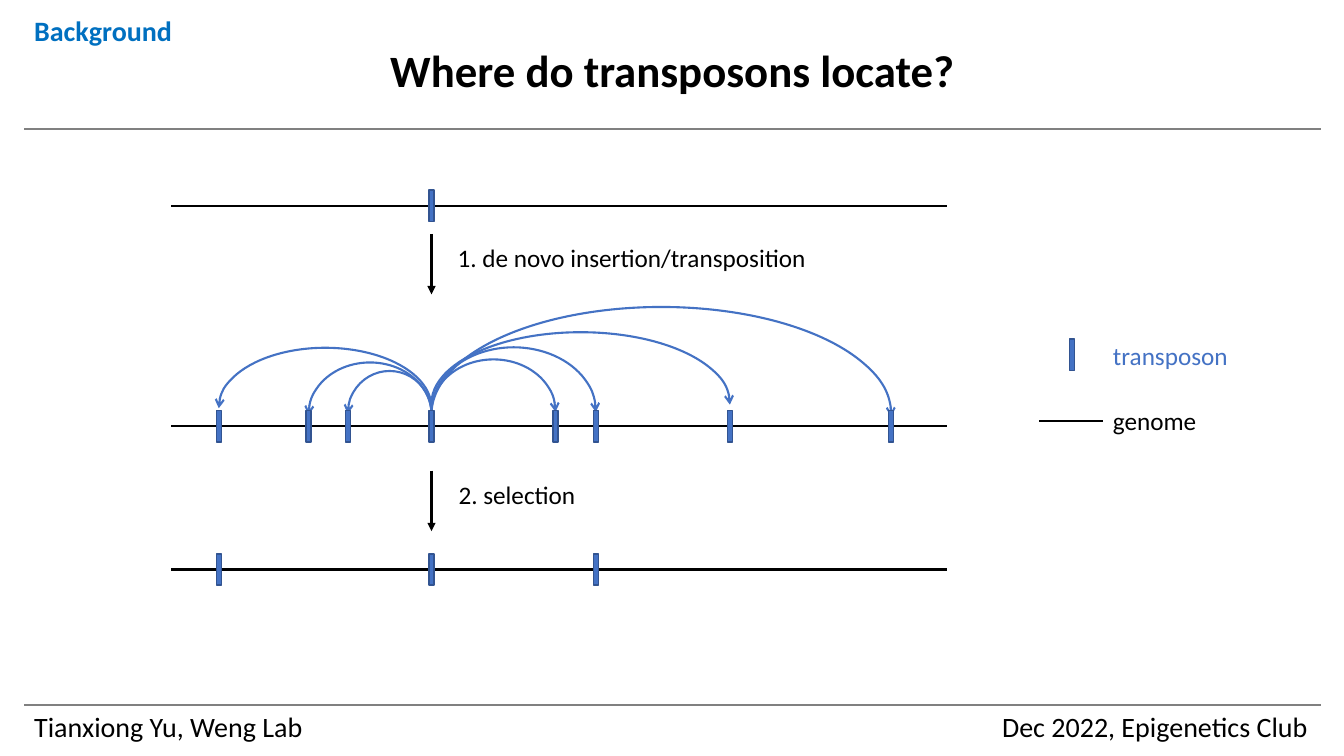
from lxml.etree import SubElement
from pptx import Presentation
from pptx.dml.color import RGBColor
from pptx.enum.shapes import MSO_CONNECTOR, MSO_SHAPE
from pptx.enum.text import MSO_ANCHOR, PP_ALIGN
from pptx.oxml.ns import qn
from pptx.util import Inches, Pt

BLACK, GRAY, BLUE, EDGE, SKY = "000000", "808080", "4472C4", "325491", "0070C0"
FONT = "Calibri"

# Content
TITLE = "Where do transposons locate?"
LEFT, RIGHT = 0.24, 13.1
RULES = [1.28, 6.99]
LABELS = [  # text, left, top, width, size, colour, bold
    ("Background", LEFT, 0.08, 1.58, 20, SKY, True),
    ("Tianxiong Yu, Weng Lab", LEFT, 6.99, 2.88, 20, BLACK, False),
    ("Dec 2022, Epigenetics Club", 9.84, 6.99, 3.26, 20, BLACK, False),
    ("1. de novo insertion/transposition", 4.44, 2.35, 3.7, 18, BLACK, False),
    ("2. selection", 4.45, 4.71, 1.37, 18, BLACK, False),
    ("transposon", 10.94, 3.33, 1.35, 18, BLUE, False),
    ("genome", 10.94, 3.97, 1.04, 18, BLACK, False),
]
HOME = 4.28
JUMPS = [  # landing site, height of full ellipse, its middle
    (2.17, 1.18, 4.04), (3.06, 1.03, 4.11), (3.45, 0.84, 4.1),
    (5.51, 1.03, 4.08), (5.91, 1.27, 4.08), (7.24, 1.41, 4.0),
    (8.84, 2.13, 4.11),
]
GENOMES = [  # height on slide, transposon sites
    (2.04, [HOME]),
    (4.23, [HOME] + [jump[0] for jump in JUMPS]),
    (5.65, [HOME, 2.17, 5.91]),
]
START, END = 1.7, 9.39
STEPS = [2.32, 4.67]
STEP = 0.6
MARK_W, MARK_H = 0.05, 0.31
KEY_X, KEY_Y = 10.63, 3.52

deck = Presentation()
deck.slide_width, deck.slide_height = Inches(13.33), Inches(7.5)
slide = deck.slides.add_slide(deck.slide_layouts[5])
shapes = slide.shapes


def rgb(code):
    return RGBColor.from_string(code)


def box(x, y, w, h):
    return [Inches(n) for n in (x, y, w, h)]


def style(par, size, code, bold):
    font = par.font
    font.name, font.size, font.bold = FONT, Pt(size), bold
    font.color.rgb = rgb(code)


def stroke(item, code, width=1.5, tip=None):
    item.line.color.rgb = rgb(code)
    item.line.width = Pt(width)
    if tip:
        SubElement(item.line._get_or_add_ln(), qn("a:tailEnd"), type=tip)


def rule(x1, y1, x2, y2, code, tip=None):
    line = shapes.add_connector(MSO_CONNECTOR.STRAIGHT, *box(x1, y1, x2, y2))
    stroke(line, code, tip=tip)
    SubElement(line._element.spPr, qn("a:effectLst"))


def mark(x, y):
    bar = shapes.add_shape(
        MSO_SHAPE.RECTANGLE,
        *box(x - MARK_W / 2, y - MARK_H / 2, MARK_W, MARK_H))
    bar.shadow.inherit = False
    bar.fill.solid()
    bar.fill.fore_color.rgb = rgb(BLUE)
    stroke(bar, EDGE, 1)


def leap(site, tall, mid):
    # The arc is turned a quarter, so its width becomes its height
    span = abs(site - HOME)
    arc = shapes.add_shape(
        MSO_SHAPE.ARC,
        *box((site + HOME - tall) / 2, mid - span / 2, tall, span))
    arc.shadow.inherit = False
    arc.adjustments[0], arc.adjustments[1] = 162, 54.32
    arc.fill.background()
    arc.rotation = 270 if site > HOME else 90
    if site < HOME:
        arc._element.spPr.find(qn("a:xfrm")).set("flipH", "1")
    stroke(arc, BLUE, tip="arrow")


# Title
head = shapes.title
head.left, head.top, head.width, head.height = box(0.92, 0.01, 11.5, 1.43)
head.text_frame.text = TITLE
head.text_frame.vertical_anchor = MSO_ANCHOR.MIDDLE
par = head.text_frame.paragraphs[0]
par.alignment, par.line_spacing = PP_ALIGN.CENTER, 0.9
style(par, 32, BLACK, True)

# Header and footer rules
for y in RULES:
    rule(LEFT, y, RIGHT, y, GRAY)

# Labels
for text, x, y, w, size, code, bold in LABELS:
    frame = shapes.add_textbox(*box(x, y, w, size / 45)).text_frame
    frame.word_wrap = False
    frame.text = text
    style(frame.paragraphs[0], size, code, bold)

# Jumps, genomes and their transposons
for jump in JUMPS:
    leap(*jump)
for y, sites in GENOMES:
    rule(START, y, END, y, BLACK)
    for x in sites:
        mark(x, y)

# Step arrows
for y in STEPS:
    rule(HOME, y, HOME, y + STEP, BLACK, "triangle")

# Key
mark(KEY_X, KEY_Y)
rule(10.31, 4.18, 10.94, 4.18, BLACK)

deck.save("out.pptx")
